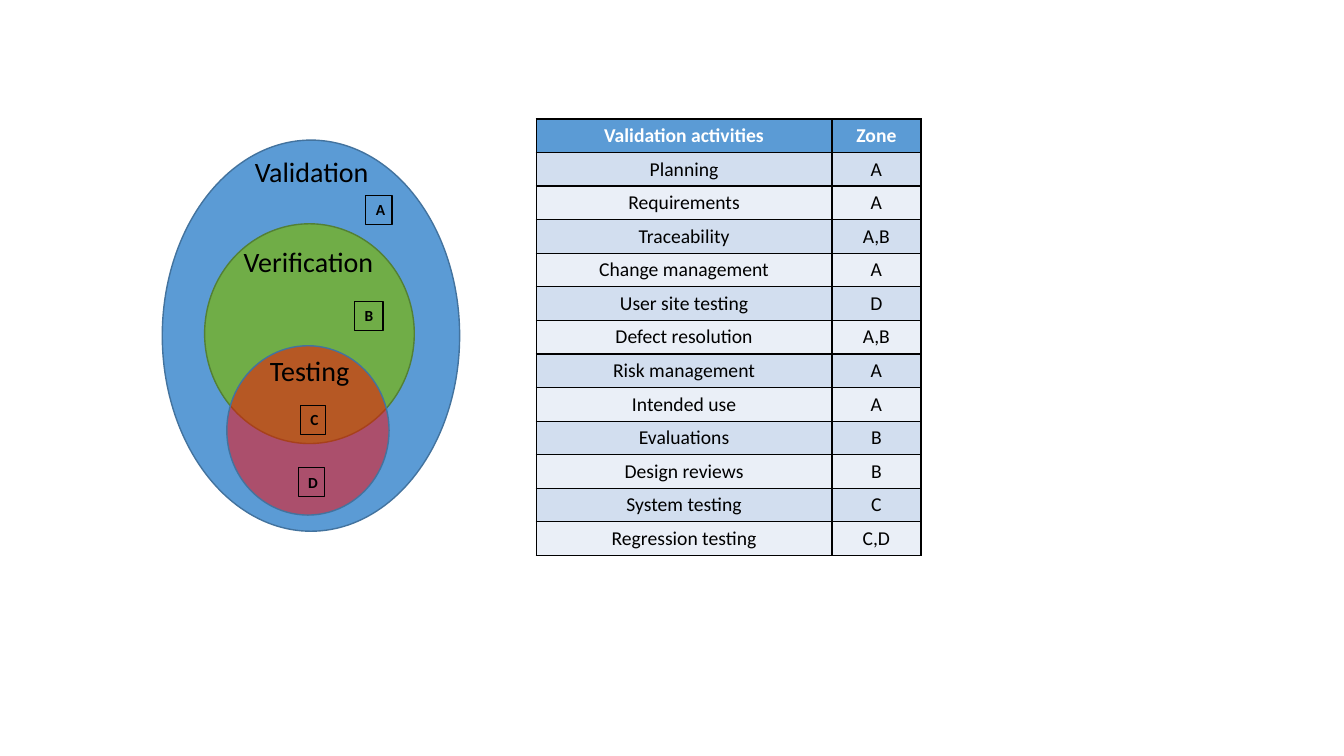
from dataclasses import dataclass

from lxml.etree import SubElement as Sub
from pptx import Presentation
from pptx.dml.color import RGBColor as RGB
from pptx.enum.shapes import MSO_SHAPE as Shape
from pptx.enum.text import MSO_ANCHOR as Anchor, PP_ALIGN as Align
from pptx.oxml.ns import qn
from pptx.util import Inches, Pt

COLS, ROWS = 40, 22.5  # square cells, three to the inch


@dataclass(frozen=True)
class Theme:
    """Colours, font and sizes of the slide."""
    blue: str = "5B9BD5"
    navy: str = "43739E"
    green: str = "70AD47"
    moss: str = "538035"
    red: str = "FF0000"
    black: str = "000000"
    white: str = "FFFFFF"
    bands: tuple = ("EAEFF7", "D2DEEF")
    font: str = "Calibri"
    label: int = 20
    cell: int = 14
    tag: int = 11
    edge: float = 1
    rule: float = 0.75


THEME = Theme()

# left, top, width, height in cells; fill, line, opacity in percent
RINGS = [
    ((4.83, 4.17, 8.85, 11.64), THEME.blue, THEME.navy, 100),
    ((6.09, 6.66, 6.24, 6.54), THEME.green, THEME.moss, 100),
    ((6.75, 10.29, 4.83, 5.04), THEME.red, THEME.navy, 49),
]
LABELS = [
    ("Validation", 7.29, 4.44, 4.02),
    ("Verification", 6.96, 7.14, 4.5),
    ("Testing", 7.74, 10.38, 3),
]
TAGS = [
    ("A", 10.89, 5.82, 0.78),
    ("B", 10.56, 8.97, 0.84),
    ("C", 8.94, 12.06, 0.75),
    ("D", 8.88, 13.92, 0.78),
]
HEAD = ("Validation activities", "Zone")
TASKS = [
    ("Planning", "A"),
    ("Requirements", "A"),
    ("Traceability", "A,B"),
    ("Change management", "A"),
    ("User site testing", "D"),
    ("Defect resolution", "A,B"),
    ("Risk management", "A"),
    ("Intended use", "A"),
    ("Evaluations", "B"),
    ("Design reviews", "B"),
    ("System testing", "C"),
    ("Regression testing", "C,D"),
]


def grid(*cells):
    """Turn counts of grid cells into lengths."""
    return [Inches(n / 3) for n in cells]


def apply(item, form):
    """Set each attribute in a dict of format values."""
    for name, value in form.items():
        setattr(item, name, value)


def write(frame, text, size, align=Align.LEFT, color=THEME.black, bold=False):
    """Write one styled line into a text frame."""
    para = frame.paragraphs[0]
    para.alignment = align
    run = para.add_run()
    run.text = text
    apply(run.font, {"name": THEME.font, "size": Pt(size), "bold": bold})
    run.font.color.rgb = RGB.from_string(color)


def outline(shape, color, width):
    """Give a shape a plain line and no shadow."""
    shape.shadow.inherit = False
    shape.line.color.rgb = RGB.from_string(color)
    shape.line.width = Pt(width)


def ring(shapes, box, fill, line, alpha):
    """Draw one zone as a filled ellipse."""
    oval = shapes.add_shape(Shape.OVAL, *grid(*box))
    oval.fill.solid()
    oval.fill.fore_color.rgb = RGB.from_string(fill)
    outline(oval, line, THEME.edge)
    if alpha < 100:
        tint = oval.fill._xPr.find(qn("a:solidFill"))[0]
        Sub(tint, qn("a:alpha"), val=str(alpha * 1000))


def label(shapes, text, left, top, width):
    """Write the name of a zone."""
    box = shapes.add_textbox(*grid(left, top, width, 1.32))
    box.text_frame.word_wrap = False
    write(box.text_frame, text, THEME.label)


def tag(shapes, text, left, top, width):
    """Draw a boxed zone letter."""
    box = shapes.add_shape(Shape.RECTANGLE, *grid(left, top, width, 0.87))
    box.fill.background()
    outline(box, THEME.black, THEME.rule)
    apply(box.text_frame, {"word_wrap": True, "vertical_anchor": Anchor.TOP})
    write(box.text_frame, text, THEME.tag, bold=True)


def border(cell):
    """Rule all four sides of a table cell."""
    props = cell._tc.get_or_add_tcPr()
    for side in ("lnL", "lnR", "lnT", "lnB"):
        line = Sub(props, qn("a:" + side), w=str(Pt(THEME.edge)))
        fill = Sub(line, qn("a:solidFill"))
        Sub(fill, qn("a:srgbClr"), val=THEME.black)


def table(shapes, left, top, widths, rows):
    """Build the banded table, one grid row to each table row."""
    box = grid(left, top, sum(widths), len(rows))
    tab = shapes.add_table(len(rows), len(widths), *box).table
    for col, width in zip(tab.columns, grid(*widths)):
        col.width = width
    form = {"vertical_anchor": Anchor.MIDDLE, "margin_top": 0, "margin_bottom": 0}
    for r, texts in enumerate(rows):
        tab.rows[r].height = grid(1)[0]
        head = r == 0
        fill = THEME.blue if head else THEME.bands[r % 2]
        color = THEME.white if head else THEME.black
        for c, text in enumerate(texts):
            cell = tab.cell(r, c)
            apply(cell, form)
            border(cell)
            cell.fill.solid()
            cell.fill.fore_color.rgb = RGB.from_string(fill)
            write(cell.text_frame, text, THEME.cell, Align.CENTER, color, head)


def main():
    """Build the slide and save it."""
    deck = Presentation()
    deck.slide_width, deck.slide_height = grid(COLS, ROWS)
    slide = deck.slides.add_slide(deck.slide_layouts[6])
    zones = slide.shapes.add_group_shape().shapes
    for draw, items in ((ring, RINGS), (label, LABELS), (tag, TAGS)):
        for item in items:
            draw(zones, *item)
    table(slide.shapes, 15.96, 3.54, (8.8, 2.65), [HEAD, *TASKS])
    deck.save("out.pptx")


main()
